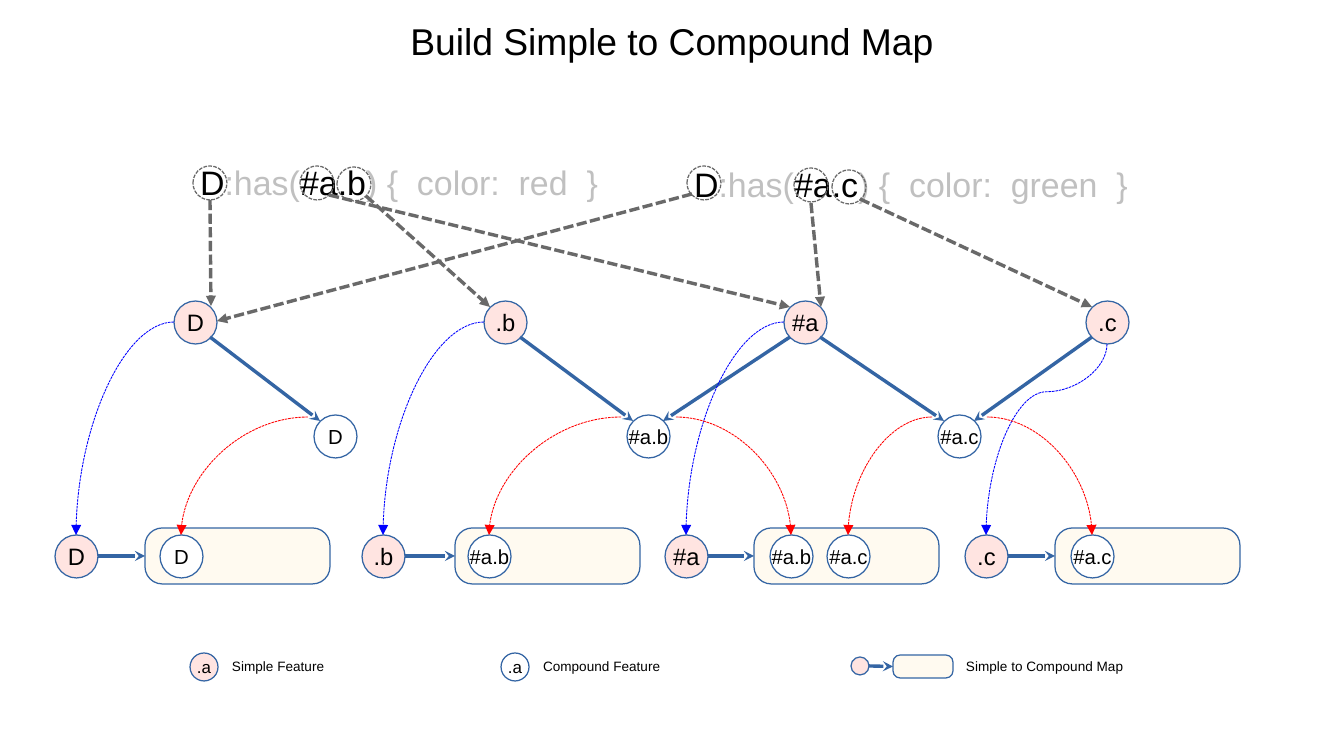
import pptx
import pptx.dml.color
import pptx.enum.dml
import pptx.enum.shapes
import pptx.enum.text
import pptx.oxml.ns
import pptx.util
import lxml.etree

RGB = pptx.dml.color.RGBColor
SHAPE = pptx.enum.shapes.MSO_SHAPE
CONNECTOR = pptx.enum.shapes.MSO_CONNECTOR
ALIGN = pptx.enum.text.PP_ALIGN
ANCHOR = pptx.enum.text.MSO_ANCHOR
DOTTED = pptx.enum.dml.MSO_LINE.SQUARE_DOT
qn = pptx.oxml.ns.qn

BLACK = RGB(0x00, 0x00, 0x00)
WHITE = RGB(0xFF, 0xFF, 0xFF)
SILVER = RGB(0xC0, 0xC0, 0xC0)
GRAY = RGB(0x69, 0x69, 0x69)
STEEL = RGB(0x34, 0x65, 0xA4)
ROSE = RGB(0xFF, 0xE4, 0xE1)
CREAM = RGB(0xFF, 0xFA, 0xF0)
BLUE = RGB(0x00, 0x00, 0xFF)
RED = RGB(0xFF, 0x00, 0x00)

EMU_PER_PX = 7495
NODE = 43
HALF = 21
CORNER = 15
SIMPLE_TOP = 301
COMPOUND_TOP = 415
MAP_TOP = 535
RING = 34

SIMPLE = {"D": 174, ".b": 484, "#a": 784, ".c": 1086}
COMPOUND = {"D": 314, "#a.b": 627, "#a.c": 938}
MAPS = {
    "D": (55, 145, {"D": 160}),
    ".b": (362, 455, {"#a.b": 468}),
    "#a": (665, 754, {"#a.b": 770, "#a.c": 827}),
    ".c": (965, 1055, {"#a.c": 1071}),
}
RULES = [(188, 163, "#a.b", "red"), (682, 165, "#a.c", "green")]
SELECTOR_PARTS = [
    ((193, 166), (210, 200), (211, 306)),
    ((300, 166), (329, 195), (790, 307)),
    ((337, 167), (366, 196), (490, 307)),
    ((687, 166), (692, 194), (217, 321)),
    ((794, 168), (811, 203), (821, 307)),
    ((832, 170), (860, 199), (1092, 307)),
]


def px(length):
    return int(length * EMU_PER_PX)


def write(holder, runs, size, align=ALIGN.LEFT, anchor=ANCHOR.MIDDLE, wrap=True):
    frame = holder.text_frame
    frame.word_wrap = wrap
    frame.auto_size = pptx.enum.text.MSO_AUTO_SIZE.NONE
    frame.vertical_anchor = anchor
    paragraph = frame.paragraphs[0]
    paragraph.alignment = align
    for words, color in runs:
        run = paragraph.add_run()
        run.text = words
        run.font.name = "Arial"
        run.font.size = pptx.util.Pt(size)
        run.font.color.rgb = color


def place(slide, kind, left, top, width, height, fill=None, outline=None):
    shape = slide.shapes.add_shape(kind, px(left), px(top), px(width), px(height))
    shape.shadow.inherit = False
    if fill is None:
        shape.fill.background()
    else:
        shape.fill.solid()
        shape.fill.fore_color.rgb = fill
    if outline is None:
        shape.line.fill.background()
    else:
        shape.line.color.rgb = outline
        shape.line.width = 0
    return shape


def feature(slide, label, left, top, fill, text_size, size=NODE):
    circle = place(slide, SHAPE.OVAL, left, top, size, size, fill, STEEL)
    write(circle, [(label, BLACK)], text_size, ALIGN.CENTER, wrap=False)


def compound_list(slide, left, top, width, height):
    box = place(slide, SHAPE.ROUNDED_RECTANGLE, left, top, width, height, CREAM, STEEL)
    box.adjustments[0] = 0.31
    return box


def arrow(slide, start, end, color, head, kind=CONNECTOR.STRAIGHT, width=0, dash=None):
    link = slide.shapes.add_connector(kind, *(px(v) for v in (*start, *end)))
    link.line.color.rgb = color
    link.line.width = pptx.util.Pt(width)
    if dash is not None:
        link.line.dash_style = dash
    properties = link.element.spPr
    lxml.etree.SubElement(properties.find(qn("a:ln")), qn("a:tailEnd"), type=head)
    lxml.etree.SubElement(properties, qn("a:effectLst"))
    return link


def curve(slide, start, end, color):
    link = arrow(slide, start, end, color, "triangle", CONNECTOR.CURVE, 0.5, DOTTED)
    properties = link.element.spPr
    properties.find(qn("a:prstGeom")).set("prst", "curvedConnector2")
    if end[0] < start[0]:
        transform = properties.find(qn("a:xfrm"))
        transform.attrib.pop("flipH")
        transform.set("flipV", "1")
        link.rotation = 180 if hasattr(link, "rotation") else 0
        transform.set("rot", "10800000")


def s_curve(slide, start, end, color):
    link = arrow(slide, start, end, color, "triangle", CONNECTOR.CURVE, 0.5, DOTTED)
    across, down = start[0] - end[0], end[1] - start[1]
    link.left = px((start[0] + end[0] - down) / 2)
    link.top = px((start[1] + end[1] - across) / 2)
    link.width, link.height = px(down), px(across)
    properties = link.element.spPr
    transform = properties.find(qn("a:xfrm"))
    transform.attrib.pop("flipH")
    transform.set("rot", "5400000")
    adjustments = properties.find(qn("a:prstGeom")).find(qn("a:avLst"))
    lxml.etree.SubElement(adjustments, qn("a:gd"), name="adj1", fmla="val 25000")


def rule_text(slide, left, top, argument, color_name):
    rule = place(slide, SHAPE.RECTANGLE, left, top, 467, 38, WHITE)
    write(rule, [("D", BLACK), (":has(", SILVER), (argument, BLACK),
                 (f") {{  color:  {color_name}  }}", SILVER)], 20)


def map_entry(slide, label, left, list_left, members):
    members_box = compound_list(slide, list_left, 528, 185, 56)
    feature(slide, label, left, MAP_TOP, ROSE, 14)
    for member, member_left in members.items():
        feature(slide, member, member_left, MAP_TOP, WHITE, 12)
    link = arrow(slide, (left + NODE, 556), (list_left, 556), STEEL, "stealth")
    link.end_connect(members_box, 1)


def feature_link(slide, simple, compound):
    start, end = SIMPLE[simple] + HALF, COMPOUND[compound] + HALF
    side = CORNER if end > start else -CORNER
    arrow(slide, (start + side, SIMPLE_TOP + HALF + CORNER),
          (end - side, COMPOUND_TOP + HALF - CORNER), STEEL, "stealth")


def map_curves(slide, label, left, members):
    target = (left + HALF, MAP_TOP)
    if label == ".c":
        s_curve(slide, (SIMPLE[label] + HALF, SIMPLE_TOP + NODE), target, BLUE)
    else:
        curve(slide, (SIMPLE[label], SIMPLE_TOP + HALF), target, BLUE)
    for member, member_left in members.items():
        source = COMPOUND[member]
        exit_x = source - 6 if member_left < source else source + NODE + 6
        curve(slide, (exit_x, COMPOUND_TOP + 2), (member_left + HALF, MAP_TOP), RED)


def legend_text(slide, words, left, width):
    caption = slide.shapes.add_textbox(px(left), px(653), px(width), px(27))
    write(caption, [(words, BLACK)], 8)


def legend(slide):
    for words, left, fill in (("Simple Feature", 190, ROSE), ("Compound Feature", 501, WHITE)):
        feature(slide, ".a", left, 653, fill, 10, 28)
        legend_text(slide, words, left + 30, 172)
    members_box = compound_list(slide, 893, 655, 60, 23)
    place(slide, SHAPE.OVAL, 851, 657, 18, 18, ROSE, STEEL)
    link = arrow(slide, (869, 666), (893, 666), STEEL, "stealth")
    link.end_connect(members_box, 1)
    legend_text(slide, "Simple to Compound Map", 954, 205)


def main():
    deck = pptx.Presentation()
    deck.slide_width, deck.slide_height = px(1344), px(756)
    slide = deck.slides.add_slide(deck.slide_layouts[5])
    title = slide.shapes.title
    title.left, title.top, title.width, title.height = px(0), px(12), px(1344), px(61)
    write(title, [("Build Simple to Compound Map", BLACK)], 22, ALIGN.CENTER, ANCHOR.TOP)

    for rule in RULES:
        rule_text(slide, *rule)
    for label, (left, list_left, members) in MAPS.items():
        map_entry(slide, label, left, list_left, members)
    for label, left in SIMPLE.items():
        feature(slide, label, left, SIMPLE_TOP, ROSE, 14)
    for label, left in COMPOUND.items():
        feature(slide, label, left, COMPOUND_TOP, WHITE, 12)
    for simple, compound in (("D", "D"), (".b", "#a.b"), ("#a", "#a.b"),
                             ("#a", "#a.c"), (".c", "#a.c")):
        feature_link(slide, simple, compound)
    for label, (left, _, members) in MAPS.items():
        map_curves(slide, label, left, members)
    for corner, start, end in SELECTOR_PARTS:
        arrow(slide, start, end, GRAY, "triangle", dash=DOTTED)
        ring = place(slide, SHAPE.OVAL, *corner, RING, RING, outline=GRAY)
        ring.line.dash_style = DOTTED
    legend(slide)
    deck.save("out.pptx")


if __name__ == "__main__":
    main()
